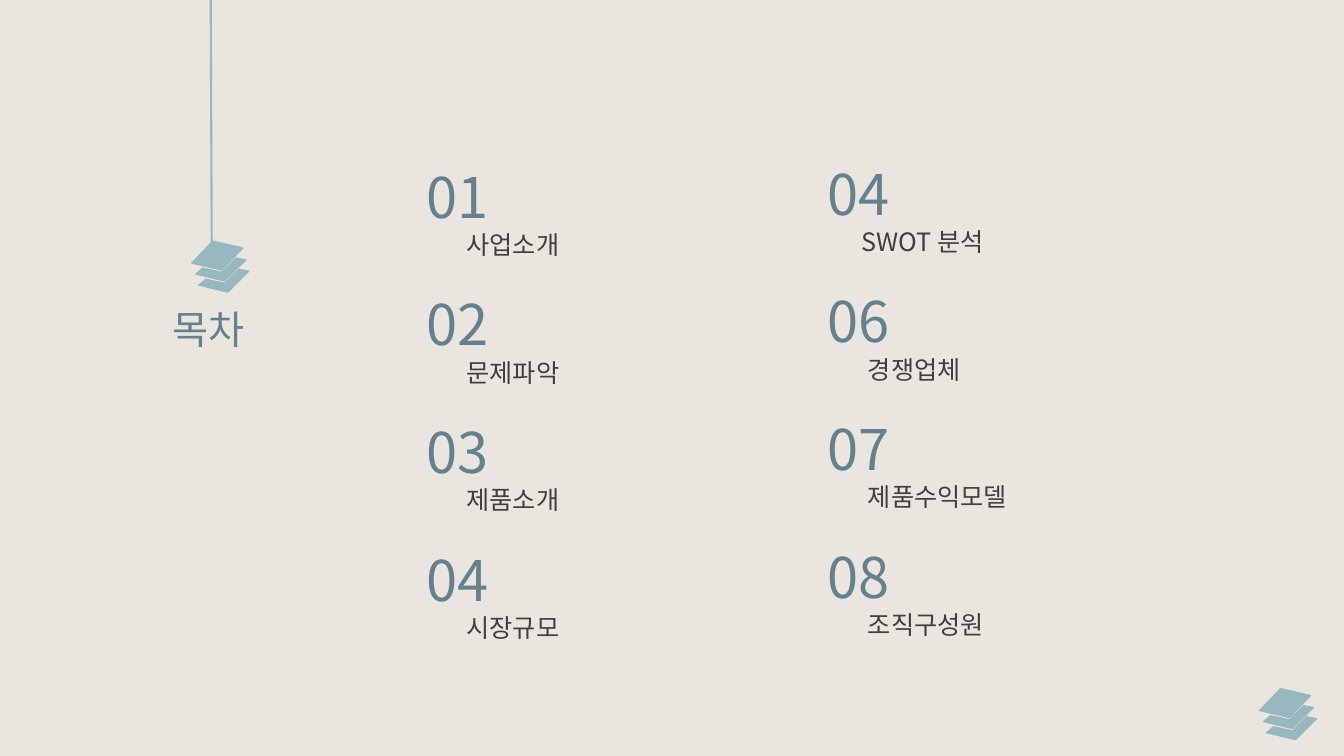
import dataclasses

import lxml.etree
import pptx
import pptx.dml.color
import pptx.enum.lang
import pptx.enum.shapes
import pptx.enum.text
import pptx.oxml.ns
import pptx.util

Inches = pptx.util.Inches
Pt = pptx.util.Pt


@dataclasses.dataclass(frozen=True)
class Theme:
    font: str = "Noto Sans CJK KR"
    background: str = "EAE6DF"
    accent: str = "97B8BF"
    heading: str = "64818D"
    body: str = "3F3F3F"
    title_size: float = 28
    number_size: float = 40
    entry_size: float = 18
    line_height: float = 1.2


# Outlines of the stacked sheets, relative to the icon's corner
TOP_SHEET = [(0.21, 0), (0.51, 0.07), (0.3, 0.29), (0, 0.22)]
LOWER_SHEET = [(0.11, 0.27), (0.3, 0.31), (0.44, 0.17),
               (0.54, 0.19), (0.33, 0.4), (0.04, 0.33)]
SHEET_STEP = (0.03, 0.11)

# Contents columns: left, top, width, height, entries (number, text, indent)
COLUMNS = [
    (4.13, 1.56, 3.86, 4.91, [
        ("01", "사업소개", 0.4), ("02", "문제파악", 0.4),
        ("03", "제품소개", 0.4), ("04", "시장규모", 0.4)]),
    (8.11, 1.53, 4.02, 5.02, [
        ("04", "SWOT 분석", 0.34), ("06", "경쟁업체", 0.4),
        ("07", "제품수익모델", 0.4), ("08", "조직구성원", 0.4)]),
]


def color(value):
    return pptx.dml.color.RGBColor.from_string(value)


def apply(target, values):
    for name, value in values.items():
        setattr(target, name, value)


class SlideBuilder:
    def __init__(self, presentation, theme):
        self.theme = theme
        self.slide = presentation.slides.add_slide(presentation.slide_layouts[6])
        fill = self.slide.background.fill
        fill.solid()
        fill.fore_color.rgb = color(theme.background)

    def text_box(self, left, top, width, height):
        shape = self.slide.shapes.add_textbox(
            Inches(left), Inches(top), Inches(width), Inches(height))
        apply(shape.text_frame, {
            "word_wrap": True,
            "auto_size": pptx.enum.text.MSO_AUTO_SIZE.NONE,
        })
        return shape.text_frame

    def fill_paragraph(self, paragraph, text, size, text_color, indent=0, space_before=0):
        apply(paragraph, {
            "line_spacing": Pt(size * self.theme.line_height),
            "space_before": Pt(space_before),
        })
        if indent:
            properties = paragraph._p.get_or_add_pPr()
            properties.set("marL", str(Inches(indent)))
            properties.set("indent", "0")
        run = paragraph.add_run()
        run.text = text
        apply(run.font, {
            "name": self.theme.font,
            "size": Pt(size),
            "language_id": pptx.enum.lang.MSO_LANGUAGE_ID.KOREAN,
        })
        run.font.color.rgb = color(text_color)
        # East Asian typeface for the Korean letters
        lxml.etree.SubElement(run._r.get_or_add_rPr(), pptx.oxml.ns.qn("a:ea"),
                              typeface=self.theme.font)

    def title(self, text, left, top, width, height):
        frame = self.text_box(left, top, width, height)
        self.fill_paragraph(frame.paragraphs[0], text,
                            self.theme.title_size, self.theme.heading)

    def contents_column(self, left, top, width, height, entries):
        theme = self.theme
        frame = self.text_box(left, top, width, height)
        for index, (number, text, indent) in enumerate(entries):
            paragraph = frame.add_paragraph() if index else frame.paragraphs[0]
            gap = theme.entry_size * theme.line_height if index else 0
            self.fill_paragraph(paragraph, number, theme.number_size, theme.heading,
                                space_before=gap)
            self.fill_paragraph(frame.add_paragraph(), text, theme.entry_size,
                                theme.body, indent=indent)

    def sheet(self, group, points, left, top):
        corners = [(Inches(left + x), Inches(top + y)) for x, y in points]
        builder = group.shapes.build_freeform(*corners[0])
        builder.add_line_segments(corners[1:], close=True)
        shape = builder.convert_to_shape()
        shape.shadow.inherit = False
        shape.fill.solid()
        shape.fill.fore_color.rgb = color(self.theme.accent)
        shape.line.color.rgb = color(self.theme.accent)
        shape.line.width = Pt(0)

    def stack_icon(self, left, top):
        group = self.slide.shapes.add_group_shape()
        self.sheet(group, TOP_SHEET, left, top)
        for step in range(2):
            self.sheet(group, LOWER_SHEET,
                       left + step * SHEET_STEP[0], top + step * SHEET_STEP[1])

    def line(self, start, end, width):
        connector = self.slide.shapes.add_connector(
            pptx.enum.shapes.MSO_CONNECTOR.STRAIGHT,
            *(Inches(value) for value in start + end))
        connector.line.color.rgb = color(self.theme.accent)
        connector.line.width = Pt(width)
        lxml.etree.SubElement(connector._element.spPr, pptx.oxml.ns.qn("a:effectLst"))


def main():
    presentation = pptx.Presentation()
    apply(presentation, {"slide_width": Inches(13.33), "slide_height": Inches(7.5)})
    builder = SlideBuilder(presentation, Theme())

    # Title with its hanging icon, and the corner icon
    builder.title("목차", 1.61, 2.98, 0.98, 0.57)
    builder.stack_icon(1.9, 2.39)
    builder.stack_icon(12.49, 6.83)
    builder.line((2.09, 0), (2.1, 2.44), 1.5)

    # Table of contents
    for column in COLUMNS:
        builder.contents_column(*column)

    presentation.save("out.pptx")


if __name__ == "__main__":
    main()
